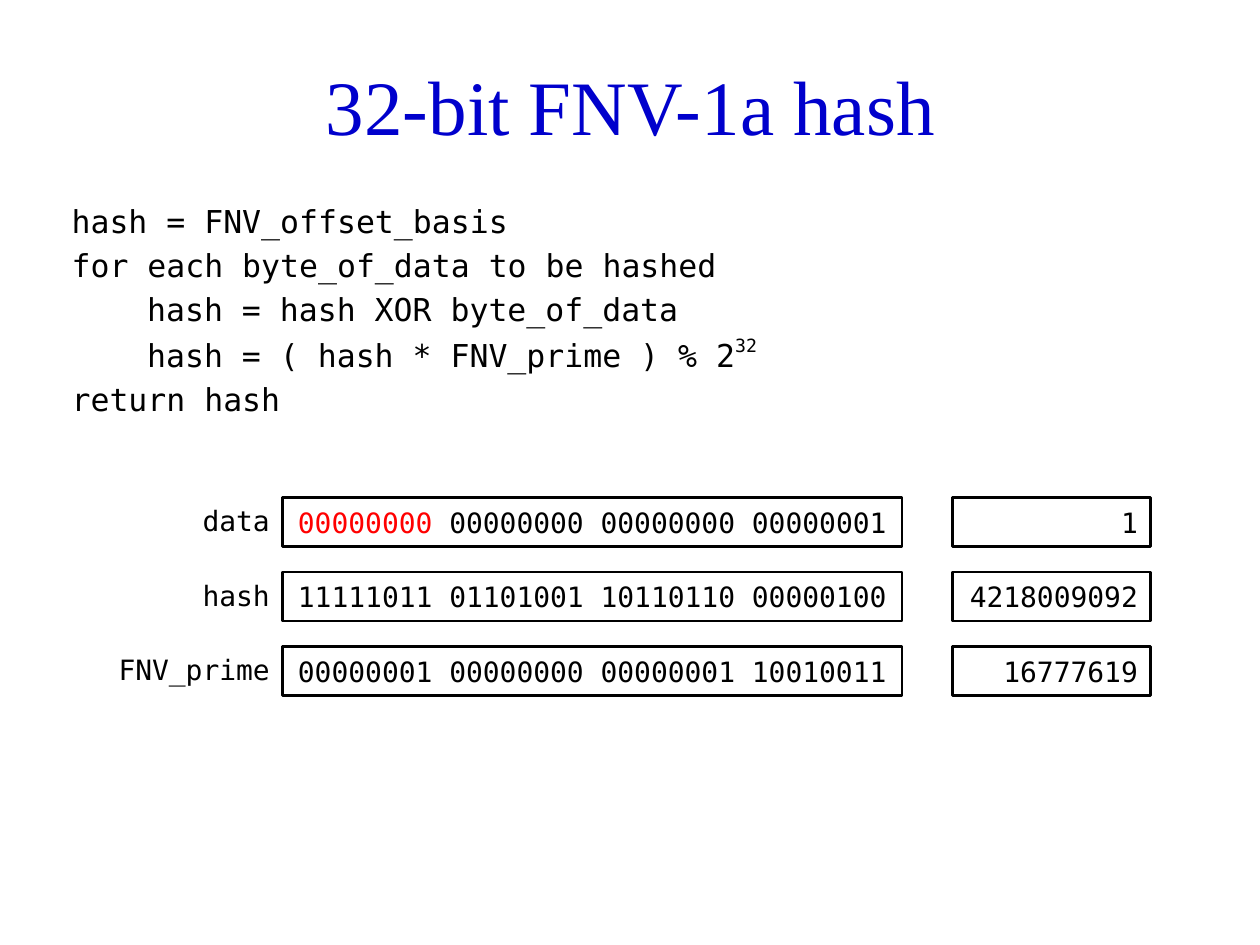
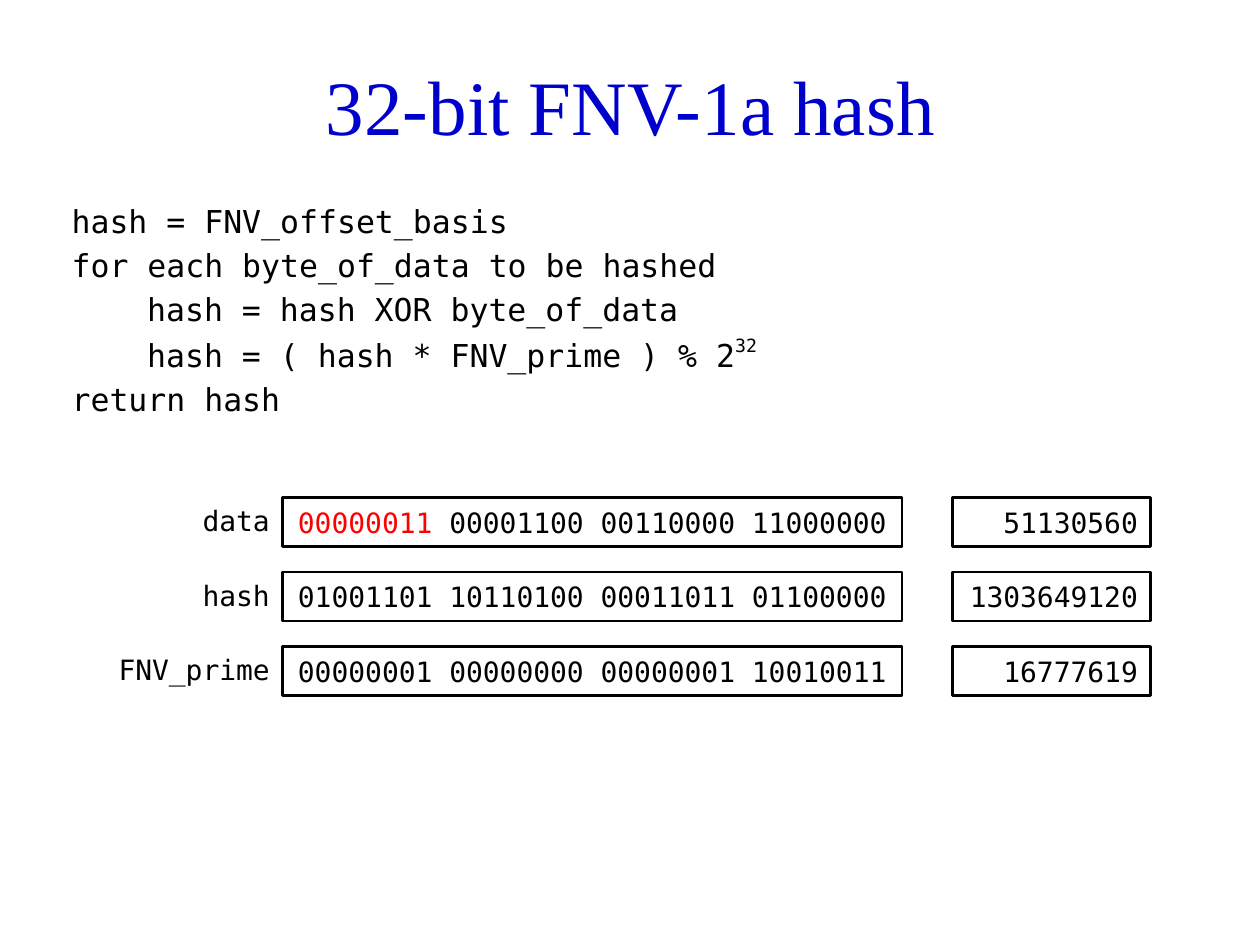
from pptx import Presentation
from pptx.dml.color import RGBColor
from pptx.enum.shapes import MSO_SHAPE as Shape
from pptx.enum.text import MSO_ANCHOR as Anchor, PP_ALIGN as Align
from pptx.util import Inches, Pt

SERIF, MONO = "Times New Roman", "DejaVu Sans Mono"
BLACK, WHITE, BLUE, RED = "000000", "FFFFFF", "0000CC", "FF0000"

TITLE = "32-bit FNV-1a hash"
# Pseudocode lines: indent level, text, superscript
CODE = [
    (0, "hash = FNV_offset_basis", ""),
    (0, "for each byte_of_data to be hashed", ""),
    (1, "hash = hash XOR byte_of_data", ""),
    (1, "hash = ( hash * FNV_prime ) % 2", "32"),
    (0, "return hash", ""),
]
PRIME = "00000001 00000000 00000001 10010011"
# Data and hash bits of each slide
STEPS = [
    ("00000000 00000000 00000000 00000001",
     "11111011 01101001 10110110 00000100"),
    ("00000011 00001100 00110000 11000000",
     "01001101 10110100 00011011 01100000"),
]
# Rows of registers
TOP, PITCH, HIGH = 3.95, 0.59, 0.39


def color(code):
    return RGBColor.from_string(code)


class Deck:
    def __init__(self):
        self.file = Presentation()
        self.file.slide_width = Inches(10)
        self.file.slide_height = Inches(7.5)
        self.slide = None

    def new(self):
        self.slide = self.file.slides.add_slide(self.file.slide_layouts[6])

    def frame(self, shape, anchor):
        body = shape.text_frame
        body.word_wrap = True
        body.vertical_anchor = anchor
        body.margin_left = body.margin_right = Inches(0.1)
        body.margin_top = body.margin_bottom = Inches(0.05)
        return body

    def text(self, left, top, width, height, anchor=Anchor.TOP):
        box = self.slide.shapes.add_textbox(
            Inches(left), Inches(top), Inches(width), Inches(height))
        return self.frame(box, anchor)

    def run(self, para, words, size=16, font=MONO, ink=BLACK):
        run = para.add_run()
        run.text = words
        run.font.size = Pt(size)
        run.font.name = font
        run.font.color.rgb = color(ink)
        return run

    def title(self, words):
        para = self.text(0.28, 0.28, 9.45, 1.1, Anchor.MIDDLE).paragraphs[0]
        para.alignment = Align.CENTER
        self.run(para, words, 44, SERIF, BLUE)

    def code(self, lines):
        body = self.text(0.47, 1.55, 9.06, 1.81)
        for row, (level, words, power) in enumerate(lines):
            para = body.add_paragraph() if row else body.paragraphs[0]
            para.space_before = Pt(3.6)
            # One level is four characters wide
            para._p.get_or_add_pPr().set("marL", str(Inches(0.6 * level)))
            self.run(para, words, 18)
            if power:
                high = self.run(para, power, 18)
                high.font._element.set("baseline", "48000")

    def label(self, top, words):
        # Ends at the left edge of the register, on one line
        body = self.text(0.74, top, 1.5, HIGH)
        body.word_wrap = True
        para = body.paragraphs[0]
        para.alignment = Align.RIGHT
        self.run(para, words)

    def cell(self, left, top, width, align, parts):
        box = self.slide.shapes.add_shape(
            Shape.RECTANGLE, Inches(left), Inches(top),
            Inches(width), Inches(HIGH))
        box.shadow.inherit = False
        box.fill.solid()
        box.fill.fore_color.rgb = color(WHITE)
        box.line.color.rgb = color(BLACK)
        box.line.width = Pt(1.5)
        para = self.frame(box, Anchor.MIDDLE).paragraphs[0]
        para.alignment = align
        for words, ink in parts:
            self.run(para, words, ink=ink)

    def row(self, top, name, bits, mark):
        # Label, binary form and decimal value
        self.label(top, name)
        parts = [(bits[:8], RED), (bits[8:], BLACK)] if mark else [(bits, BLACK)]
        self.cell(2.24, top, 4.92, Align.CENTER, parts)
        value = int(bits.replace(" ", ""), 2)
        self.cell(7.56, top, 1.57, Align.RIGHT, [(str(value), BLACK)])


def main():
    deck = Deck()
    for data, state in STEPS:
        deck.new()
        deck.title(TITLE)
        deck.code(CODE)
        rows = [("data", data), ("hash", state), ("FNV_prime", PRIME)]
        for i, (name, bits) in enumerate(rows):
            deck.row(TOP + i * PITCH, name, bits, mark=name == "data")
    deck.file.save("out.pptx")


if __name__ == "__main__":
    main()
